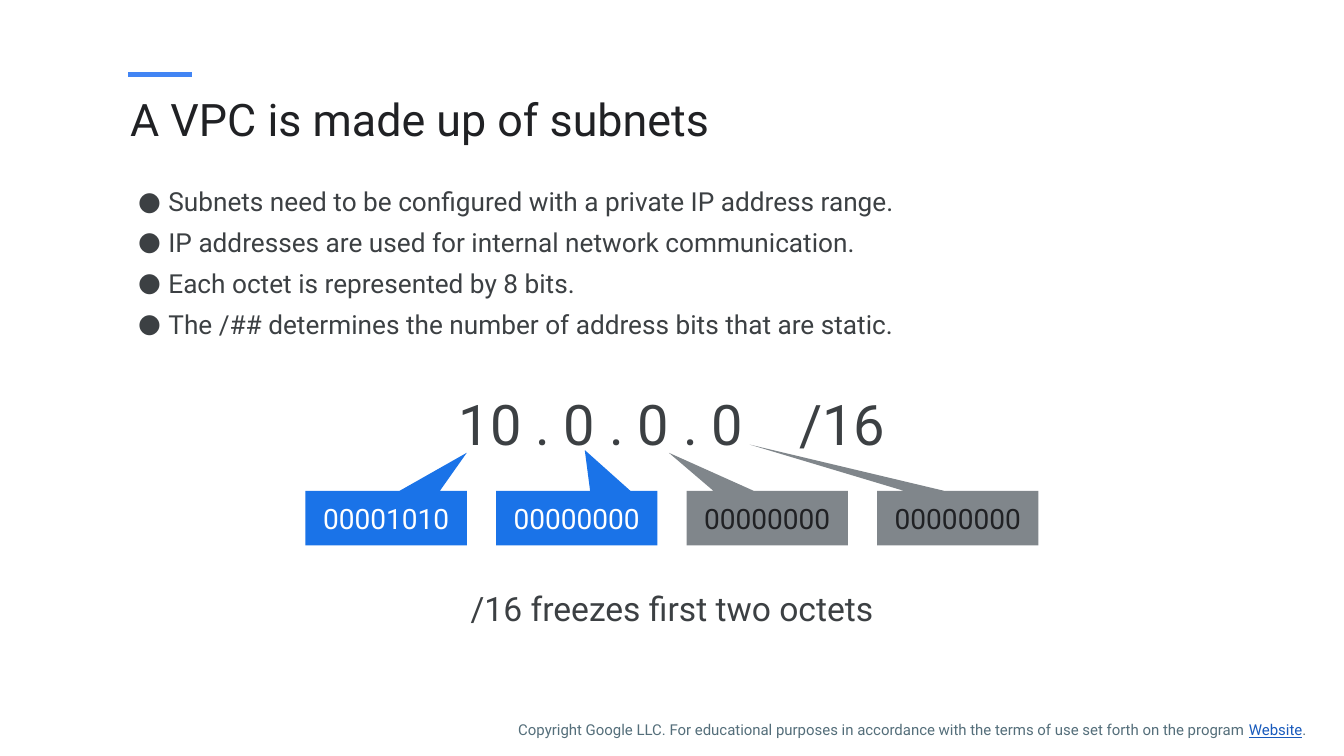
from lxml import etree
from pptx import Presentation
from pptx.dml.color import RGBColor
from pptx.enum.shapes import MSO_CONNECTOR as Conn, MSO_SHAPE as Shape
from pptx.enum.text import MSO_ANCHOR as Anchor, PP_ALIGN as Align
from pptx.oxml.ns import qn
from pptx.util import Inches, Pt

WIDE, HIGH = 13.33, 7.5
FONT = "Roboto"
HEX = {"title": "202124", "text": "3C4043", "white": "FFFFFF", "rule": "4285F4",
       "blue": "1A73E8", "gray": "80868B", "note": "546E7A", "link": "185ABC"}

TITLE = "A VPC is made up of subnets"
POINTS = [
    "Subnets need to be configured with a private IP address range.",
    "IP addresses are used for internal network communication.",
    "Each octet is represented by 8 bits.",
    "The /## determines the number of address bits that are static.",
]
ADDRESS = ["10 . 0 . 0 . 0", " ", "/16"]
MASK_GAP = 30  # points added to the space before the mask
CAPTION = "/16 freezes first two octets"
# bits, fill, text colour, pointer tip as shares of the box from its centre
OCTETS = [
    ("00001010", "blue", "white", (0.5, -1.2)),
    ("00000000", "blue", "white", (0.05, -1.25)),
    ("00000000", "gray", "title", (-0.61, -1.2)),
    ("00000000", "gray", "title", (-1.29, -1.35)),
]
NOTICE = [
    ("Copyright Google LLC. For educational purposes in accordance with "
     "the terms of use set forth on the program ", "note", False),
    ("Website", "link", True),
    (".", "note", False),
]

LEFT = 1.27
BOX_W, BOX_H, PITCH, BOX_TOP = 1.6, 0.54, 1.89, 4.87
ROW_LEFT = (WIDE - BOX_W - PITCH * (len(OCTETS) - 1)) / 2
MID_W, MID_H = 5.77, 0.68
MID_LEFT = (WIDE - MID_W) / 2


def color(name):
    return RGBColor.from_string(HEX[name])


def style(run, size, name):
    font = run.font
    font.name, font.size = FONT, Pt(size)
    font.color.rgb = color(name)


def setup(shape, pad=0.07, anchor=Anchor.TOP):
    """Set wrapping, insets and anchor, and return the text frame."""
    frame = shape.text_frame
    frame.word_wrap = True
    frame.margin_left = frame.margin_right = Inches(pad)
    frame.margin_top = frame.margin_bottom = Inches(pad)
    frame.vertical_anchor = anchor
    return frame


def add_box(slide, *place):
    return slide.shapes.add_textbox(*map(Inches, place))


def center(shape, parts, size, name):
    """Write the parts as runs of one centred line."""
    para = setup(shape, anchor=Anchor.MIDDLE).paragraphs[0]
    para.alignment = Align.CENTER
    for part in parts:
        run = para.add_run()
        run.text = part
        style(run, size, name)
    return para


def add_bullet(para):
    props = para._p.get_or_add_pPr()
    props.set("marL", str(Inches(0.33)))
    props.set("indent", str(Inches(-0.3)))
    tint = etree.SubElement(props, qn("a:buClr"))
    etree.SubElement(tint, qn("a:srgbClr")).set("val", HEX["text"])
    etree.SubElement(props, qn("a:buFont")).set("typeface", FONT)
    etree.SubElement(props, qn("a:buChar")).set("char", "●")


def add_title(slide):
    title = slide.shapes.title
    title.left, title.top = Inches(1.22), Inches(0.84)
    title.width, title.height = Inches(10.77), Inches(0.83)
    para = setup(title).paragraphs[0]
    para.text = TITLE
    para.alignment = Align.LEFT
    style(para.runs[0], 32, "title")

    rule = slide.shapes.add_connector(
        Conn.STRAIGHT, *map(Inches, (LEFT, 0.74, LEFT + 0.63, 0.74)))
    rule.line.color.rgb = color("rule")
    rule.line.width = Pt(3)
    etree.SubElement(rule._element.spPr, qn("a:effectLst"))


def add_points(slide):
    frame = setup(add_box(slide, LEFT, 1.77, WIDE * 0.8, 1.9))
    for i, point in enumerate(POINTS):
        para = frame.add_paragraph() if i else frame.paragraphs[0]
        para.text = point
        if i:
            para.space_before = Pt(6.7)
        add_bullet(para)
        style(para.runs[0], 18.7, "text")


def add_octets(slide):
    for i, (bits, fill, ink, tip) in enumerate(OCTETS):
        place = (ROW_LEFT + i * PITCH, BOX_TOP, BOX_W, BOX_H)
        box = slide.shapes.add_shape(Shape.RECTANGULAR_CALLOUT, *map(Inches, place))
        box.adjustments[0], box.adjustments[1] = tip
        box.shadow.inherit = False
        box.fill.solid()
        box.fill.fore_color.rgb = color(fill)
        box.line.fill.background()
        center(box, [bits], 20, ink)


def add_notice(slide):
    para = setup(add_box(slide, 5.01, 7.02, 8.25, 0.38), pad=0.13).paragraphs[0]
    para.line_spacing = 1.15
    for text, name, under in NOTICE:
        run = para.add_run()
        run.text = text
        style(run, 10.7, name)
        run.font.underline = under


def main():
    deck = Presentation()
    deck.slide_width, deck.slide_height = Inches(WIDE), Inches(HIGH)
    slide = deck.slides.add_slide(deck.slide_layouts[5])
    add_title(slide)
    add_points(slide)
    line = center(add_box(slide, MID_LEFT, 3.86, MID_W, MID_H), ADDRESS, 40, "text")
    line.runs[1].font._element.set("spc", str(MASK_GAP * 100))
    add_octets(slide)
    center(add_box(slide, MID_LEFT, 5.69, MID_W, MID_H), [CAPTION], 24, "text")
    add_notice(slide)
    deck.save("out.pptx")


if __name__ == "__main__":
    main()
